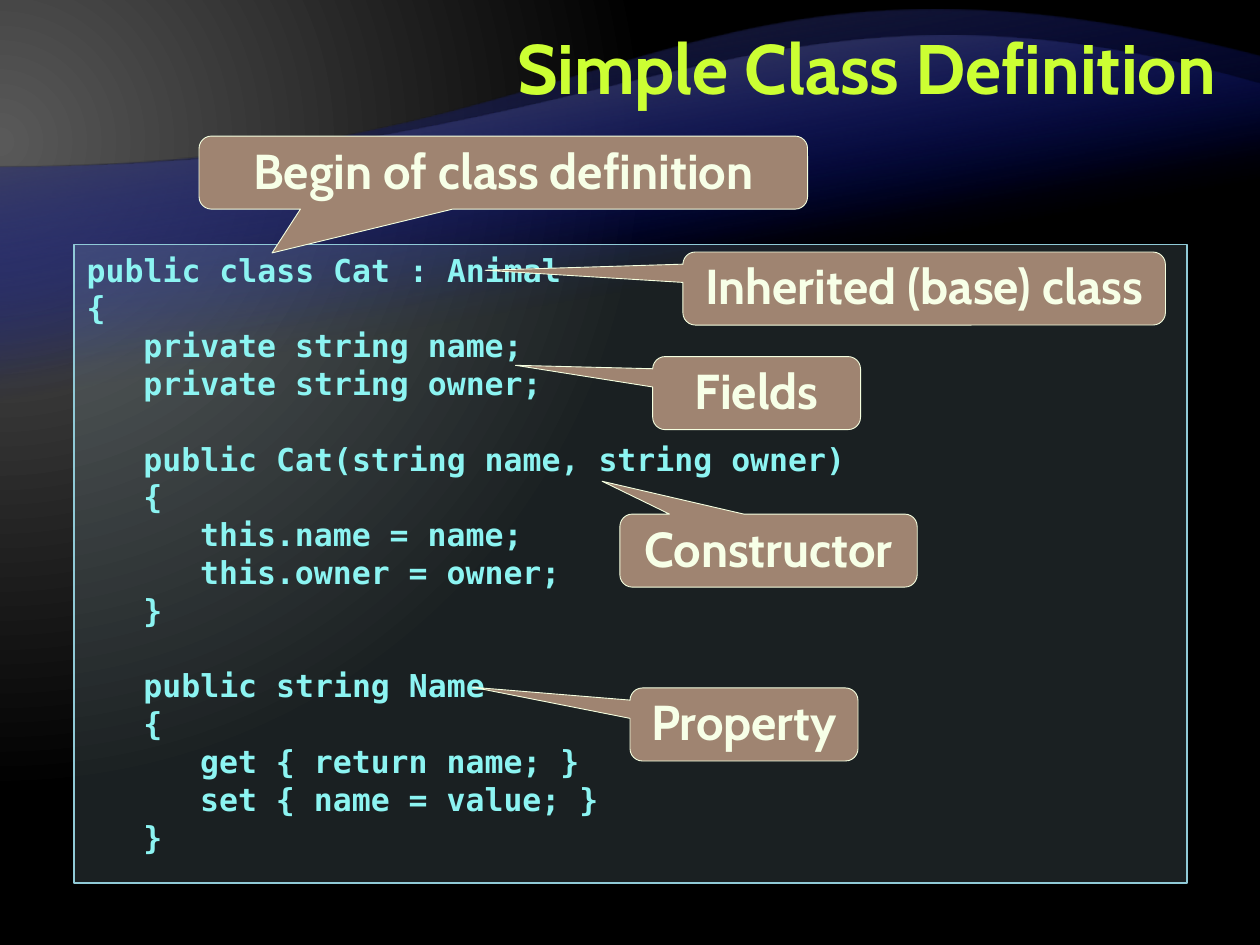
"""Build a slide that explains the parts of a simple class definition."""
from lxml import etree
from pptx import Presentation
from pptx import util as u
from pptx.dml.color import RGBColor
from pptx.enum import shapes, text
from pptx.oxml import ns, parse_xml

LIME = RGBColor(0xCC, 0xFF, 0x33)
AQUA = RGBColor(0x8C, 0xF4, 0xF2)
PANEL = RGBColor(0xB5, 0xDB, 0xE5)
PANEL_EDGE = RGBColor(0x90, 0xCA, 0xD7)
TAUPE = RGBColor(0x9F, 0x84, 0x71)
IVORY = RGBColor(0xF5, 0xFF, 0xE0)
CREAM = RGBColor(0xF7, 0xFF, 0xE7)
BLUE = RGBColor(0x00, 0x0D, 0x9E)
CHARCOAL = RGBColor(0x26, 0x26, 0x26)
GREY = RGBColor(0x59, 0x59, 0x59)
BLACK = RGBColor(0, 0, 0)

TITLE = "Simple Class Definition"
CODE = [
    [(0, "public class Cat : Animal"), (0, "{"),
     (1, "private string name;"), (1, "private string owner;")],
    [(1, "public Cat(string name, string owner)"), (1, "{"),
     (2, "this.name = name;"), (2, "this.owner = owner;"), (1, "}")],
    [(1, "public string Name"), (1, "{"),
     (2, "get { return name; }"), (2, "set { name = value; }"), (1, "}")],
]
CALLOUTS = [
    ("Fields", 5.18, 2.83, 1.65, (-1.16, -0.38)),
    ("Constructor", 4.92, 4.08, 2.36, (-0.56, -0.95)),
    ("Property", 5, 5.46, 1.81, (-1.19, -0.51)),
    ("Begin of class definition", 1.58, 1.08, 4.83, (-0.38, 1.1)),
    ("Inherited (base) class", 5.42, 2, 3.83, (-0.91, -0.25)),
]
WAVES = [
    ([(0, 0.45), (10, 0.45), (10, 5.65)], [(5, 5.65), (4.66, 7.73), (0, 6.53)], CHARCOAL),
    ([(0, 0.67), (10, 0.67), (10, 4.91)], [(5, 4.91), (4.02, 6.73), (0, 5.57)], GREY),
]
CALLOUT_HEIGHT = 0.58
CODE_INDENT = 0.45
CODE_PITCH = 21.6


def write(p, words, font, size, color, align, spacing, before=0, indent=0):
    r = p.add_run()
    r.text = words
    r.font.name, r.font.size, r.font.bold = font, u.Pt(size), True
    r.font.color.rgb = color
    p.alignment = align
    p.line_spacing, p.space_before = u.Pt(spacing), u.Pt(before)
    if indent:
        p._p.get_or_add_pPr().set("marL", str(u.Inches(indent)))


def set_gradient(parent, stops, shade):
    stop_xml = "".join(
        f'<a:gs pos="{pos * 1000}"><a:srgbClr val="{color}">'
        f'<a:alpha val="{alpha * 1000}"/></a:srgbClr></a:gs>'
        for pos, color, alpha in stops)
    grad = parse_xml(f'<a:gradFill {ns.nsdecls("a")} rotWithShape="1">'
                     f'<a:gsLst>{stop_xml}</a:gsLst>{shade}</a:gradFill>')
    parent.replace(parent.find(ns.qn("a:solidFill")), grad)


def add_wave(s, corners, curve, color):
    pts = [(u.Inches(x), u.Inches(y)) for x, y in corners + curve[-1:]]
    builder = s.shapes.build_freeform(*pts[0], scale=1.0)
    builder.add_line_segments(pts[1:], close=True)
    sp = builder.convert_to_shape()
    line = sp.element.xpath(".//a:lnTo")[-1]
    bezier = etree.Element(ns.qn("a:cubicBezTo"))
    for x, y in curve:
        etree.SubElement(bezier, ns.qn("a:pt"), x=str(u.Inches(x) - sp.left),
                         y=str(u.Inches(y) - sp.top))
    line.getparent().replace(line, bezier)
    sp.rotation = 180
    sp.shadow.inherit = False
    sp.line.fill.background()
    sp.fill.solid()
    set_gradient(sp.element.spPr, [(65, BLUE, 0), (100, color, 100)],
                 '<a:lin ang="4800000" scaled="0"/>')


def add_box(s, kind, box, fill, edge, width):
    sp = s.shapes.add_shape(kind, *map(u.Inches, box))
    sp.shadow.inherit = False
    sp.fill.solid()
    sp.fill.fore_color.rgb = fill
    sp.line.color.rgb, sp.line.width = edge, u.Pt(width)
    sp.text_frame.word_wrap = True
    sp.text_frame.vertical_anchor = text.MSO_ANCHOR.MIDDLE
    return sp


def add_code(s):
    sp = add_box(s, shapes.MSO_SHAPE.RECTANGLE, (0.59, 1.94, 8.83, 5.07), PANEL, PANEL_EDGE, 1)
    color = sp.element.spPr.find(ns.qn("a:solidFill"))[0]
    etree.SubElement(color, ns.qn("a:alpha"), val="15000")
    tf = sp.text_frame
    tf.vertical_anchor = text.MSO_ANCHOR.TOP
    for b, block in enumerate(CODE):
        for i, (level, line) in enumerate(block):
            p = tf.add_paragraph() if b or i else tf.paragraphs[0]
            write(p, line, font="DejaVu Sans Mono", size=18, color=AQUA,
                  align=text.PP_ALIGN.LEFT, spacing=CODE_PITCH,
                  before=CODE_PITCH if b and not i else 0, indent=level * CODE_INDENT)


def add_callout(s, words, left, top, width, tip):
    sp = add_box(s, shapes.MSO_SHAPE.ROUNDED_RECTANGULAR_CALLOUT,
                 (left, top, width, CALLOUT_HEIGHT), TAUPE, IVORY, 0.5)
    for i, value in enumerate((*tip, 0.17)):
        sp.adjustments[i] = value
    write(sp.text_frame.paragraphs[0], words, font="Cabin", size=28, color=CREAM,
          align=text.PP_ALIGN.CENTER, spacing=30)


def main():
    prs = Presentation()
    prs.slide_width, prs.slide_height = u.Inches(10), u.Inches(7.5)
    s = prs.slides.add_slide(prs.slide_layouts[5])
    s.background.fill.solid()
    set_gradient(s.element.xpath(".//p:bgPr")[0], [(0, GREY, 100), (83, BLACK, 100)],
                 '<a:path path="circle"><a:fillToRect l="20000" t="30000"'
                 ' r="135000" b="100000"/></a:path>')
    for wave in WAVES:
        add_wave(s, *wave)
    title = s.shapes.title
    s.shapes.element.append(title.element)
    title.left, title.top, title.width, title.height = map(u.Inches, (2, 0.08, 7.75, 1))
    title.text_frame.auto_size = text.MSO_AUTO_SIZE.NONE
    title.text_frame.vertical_anchor = text.MSO_ANCHOR.MIDDLE
    write(title.text_frame.paragraphs[0], TITLE, font="Cabin", size=40, color=LIME,
          align=text.PP_ALIGN.RIGHT, spacing=40)
    add_code(s)
    for callout in CALLOUTS:
        add_callout(s, *callout)
    prs.save("out.pptx")


if __name__ == "__main__":
    main()
